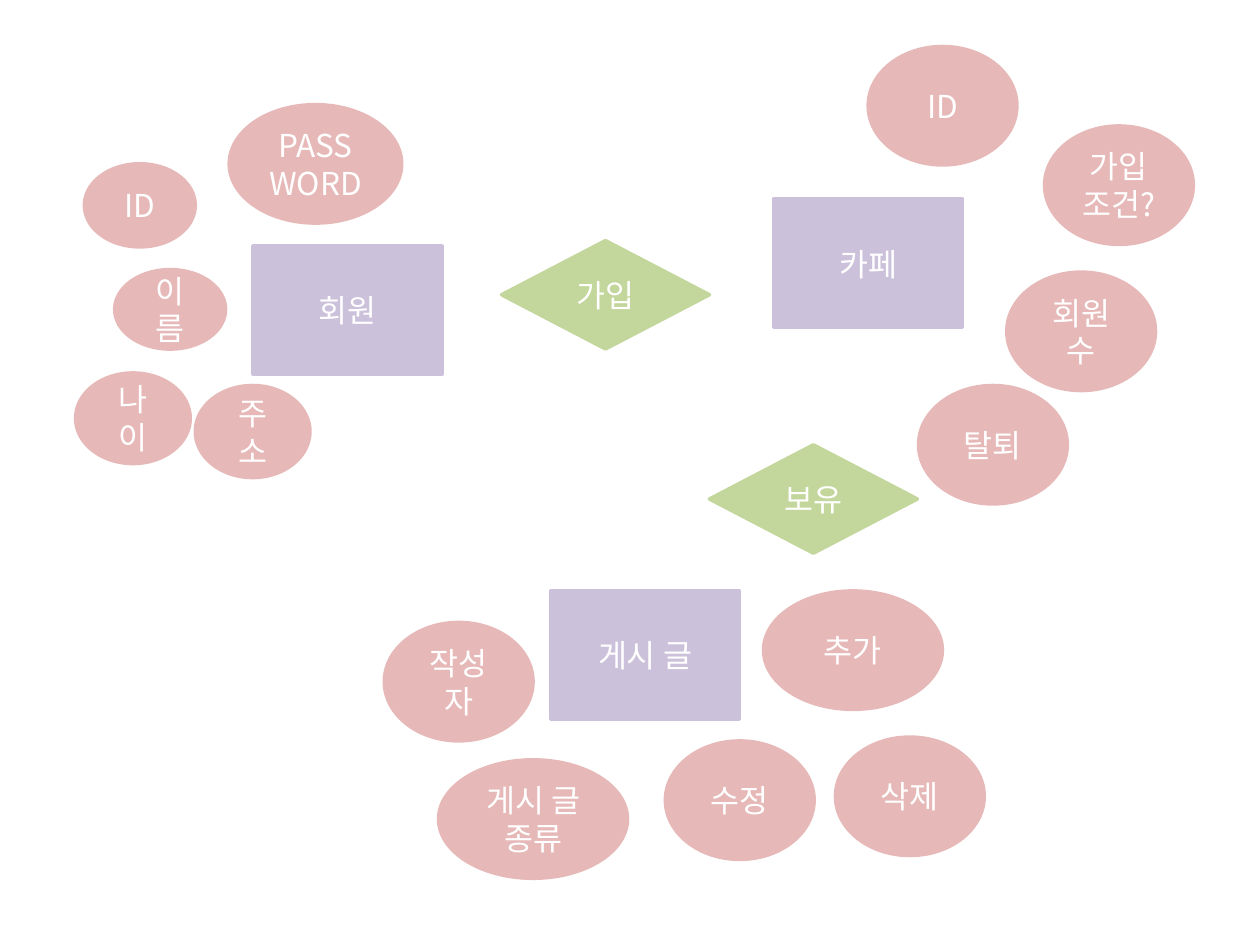
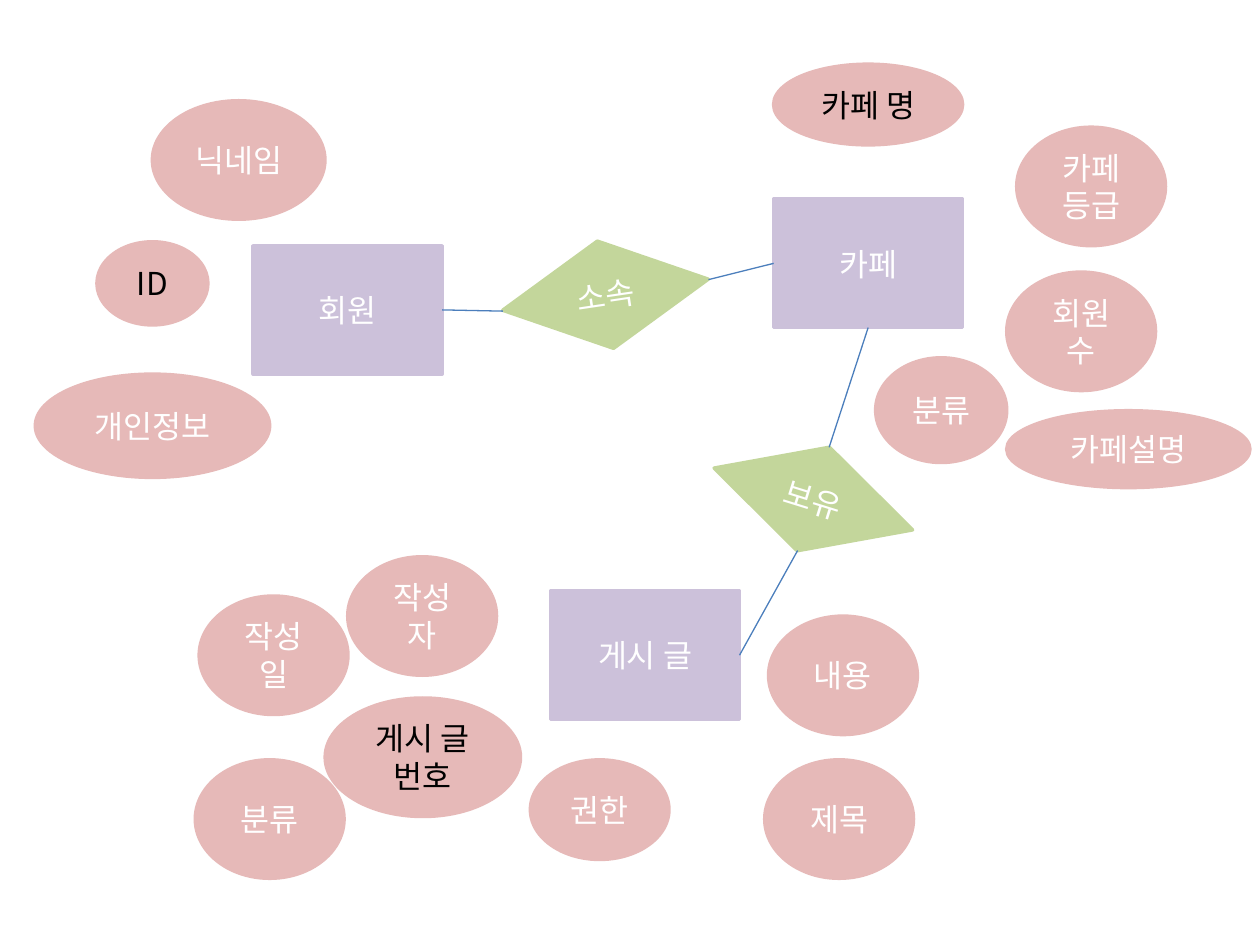
import pptx
import pptx.util
import pptx.dml.color
import pptx.enum.shapes
import pptx.enum.text
import pptx.oxml
import pptx.oxml.ns

Pt = pptx.util.Pt
RGBColor = pptx.dml.color.RGBColor
KIND = pptx.enum.shapes.MSO_SHAPE

PURPLE = RGBColor(0xCC, 0xC1, 0xDA)
PINK = RGBColor(0xE6, 0xB9, 0xB8)
GREEN = RGBColor(0xC3, 0xD6, 0x9B)
BLUE = RGBColor(0x4B, 0x7E, 0xBC)
WHITE = RGBColor(0xFF, 0xFF, 0xFF)
BLACK = RGBColor(0x00, 0x00, 0x00)
FONT = "Noto Sans CJK KR"

# Common sizes: entity box, relation diamond, usual attribute oval
BOX = (108, 73.4)
GEM = (118.8, 61.9)
OVAL = (85, 67.7)


def add_node(slide, kind, fill, text, left, top, size, ink=WHITE, turn=0):
    node = slide.shapes.add_shape(kind, Pt(left), Pt(top), Pt(size[0]), Pt(size[1]))
    node.shadow.inherit = False
    node.rotation = turn
    node.fill.solid()
    node.fill.fore_color.rgb = fill
    node.line.color.rgb = fill
    node.line.width = Pt(2)
    frame = node.text_frame
    frame.text = text
    frame.word_wrap = True
    frame.vertical_anchor = pptx.enum.text.MSO_ANCHOR.MIDDLE
    para = frame.paragraphs[0]
    para.alignment = pptx.enum.text.PP_ALIGN.CENTER
    font = para.runs[0].font
    font.size = Pt(18)
    font.color.rgb = ink
    font.name = FONT
    # Hangul takes the East Asian typeface
    east = pptx.oxml.parse_xml(
        f'<a:ea {pptx.oxml.ns.nsdecls("a")} typeface="{FONT}"/>')
    para.runs[0]._r.get_or_add_rPr().append(east)
    return node


# Entities stand in the same place on both slides
ENTITIES = [("회원", 144.7, 140.4), ("카페", 442.1, 113.8), ("게시 글", 314.6, 337.7)]
# Places of the two relations
SPOTS = [(286.6, 137.5), (405.4, 254.2)]

# Each slide: relations with their turn, then attribute ovals
PAGES = [
    ([("가입", 0), ("보유", 0)],
     [("ID", 48.2, 93.6, (63.4, 47.5)),
      ("PASSWORD", 131, 59.8, (98.6, 67.7)),
      ("이름", 65.5, 154.1, (63.4, 45.4)),
      ("나이", 43.2, 213.1, (65.5, 51.8)),
      ("주소", 111.6, 220.3, (65.5, 52.6)),
      ("ID", 496.1, 26.6, OVAL),
      ("가입조건?", 596.9, 72, OVAL),
      ("회원 수", 575.3, 155.5, OVAL),
      ("탈퇴", 524.9, 220.3, OVAL),
      ("작성자", 219.6, 355.7, OVAL),
      ("게시 글 종류", 250.6, 434.2, (108, 67.7)),
      ("수정", 380.2, 423.4, OVAL),
      ("삭제", 477.4, 421.2, OVAL),
      ("추가", 436.3, 337.7, (102.2, 67.7))]),
    ([("소속", 351.4), ("보유", 17.3)],
     [("ID", 55.4, 138.2, (63.4, 47.5), BLACK),
      ("닉네임", 87.1, 57.6, (98.6, 67.7)),
      ("개인정보", 20.2, 213.8, (133.9, 59)),
      ("카페 명", 442.1, 36.7, (108, 46.1), BLACK),
      ("카페등급", 581, 72.7, OVAL),
      ("회원 수", 575.3, 155.5, OVAL),
      ("분류", 500.4, 204.5, (74.9, 59.8)),
      ("카페설명", 575.3, 234.7, (139, 43.9)),
      ("작성자", 198.7, 318.2, OVAL),
      ("작성일", 113.8, 340.6, OVAL),
      ("분류", 111.6, 434.2, OVAL),
      ("게시 글 번호", 185.8, 398.9, (111.6, 67.7), BLACK),
      ("권한", 303.1, 434.2, (79.2, 56.9)),
      ("내용", 439.2, 352.1, OVAL),
      ("제목", 437, 434.2, OVAL)]),
]

# Links on the second slide: entity, side, end at the diamond
LINKS = [("회원", 3, 287.3, 177.8), ("카페", 1, 404.9, 159.8),
         ("카페", 2, 473.8, 255.6), ("게시 글", 3, 455.8, 314.6)]

deck = pptx.Presentation()
deck.slide_width, deck.slide_height = Pt(720), Pt(540)

for relations, ovals in PAGES:
    slide = deck.slides.add_slide(deck.slide_layouts[6])
    boxes = {}
    for name, left, top in ENTITIES:
        boxes[name] = add_node(slide, KIND.RECTANGLE, PURPLE, name, left, top, BOX)
    for (name, turn), (left, top) in zip(relations, SPOTS):
        add_node(slide, KIND.DIAMOND, GREEN, name, left, top, GEM, turn=turn)
    for oval in ovals:
        add_node(slide, KIND.OVAL, PINK, *oval)

# Links join the entities to the diamonds
for name, side, x, y in LINKS:
    link = slide.shapes.add_connector(
        pptx.enum.shapes.MSO_CONNECTOR.STRAIGHT, Pt(x), Pt(y), Pt(x), Pt(y))
    link.begin_connect(boxes[name], side)
    link.line.color.rgb = BLUE
    link.line.width = Pt(0.75)
    link._element.spPr.append(
        pptx.oxml.parse_xml(f'<a:effectLst {pptx.oxml.ns.nsdecls("a")}/>'))

deck.save("out.pptx")
